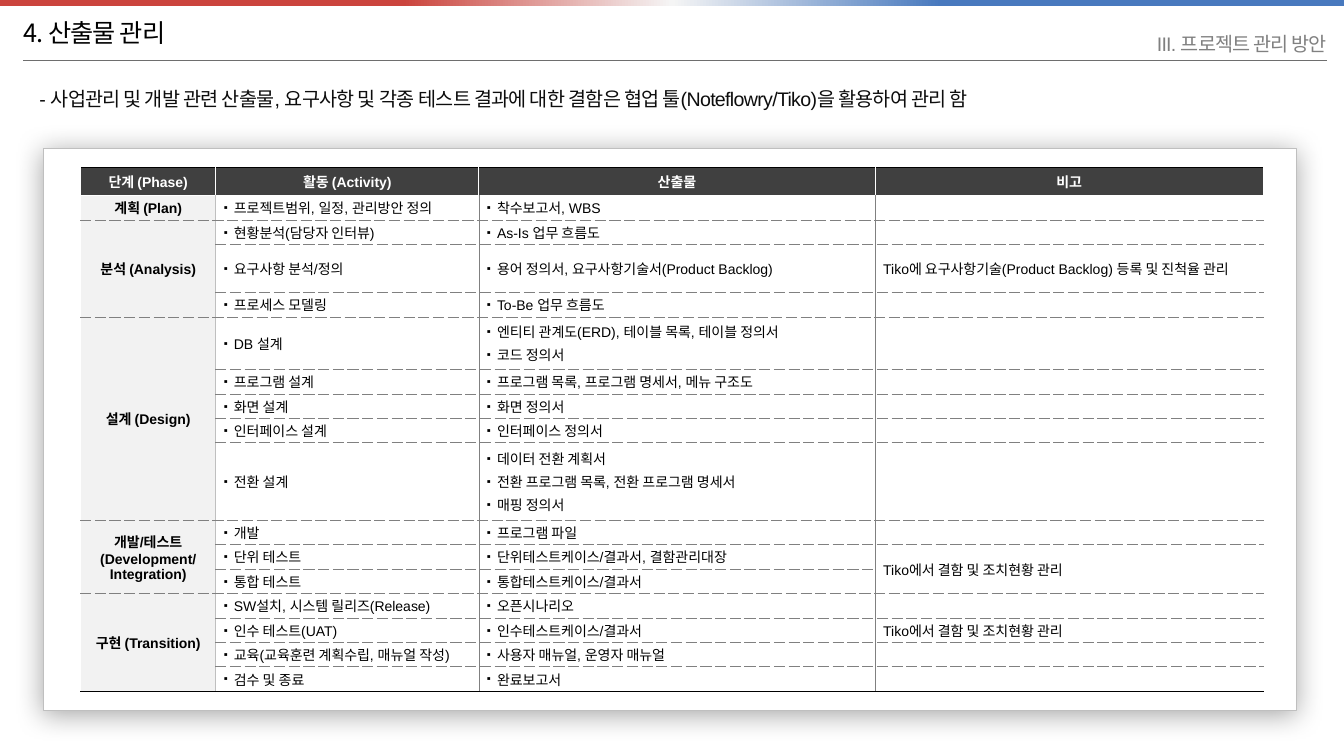
from lxml.etree import SubElement
from pptx import Presentation
from pptx.dml.color import RGBColor
from pptx.enum.shapes import MSO_CONNECTOR, MSO_SHAPE
from pptx.enum.text import MSO_ANCHOR, PP_ALIGN
from pptx.oxml import parse_xml
from pptx.oxml.ns import nsdecls, qn
from pptx.util import Inches, Pt

LATIN, KOREAN = "Arial", "Noto Sans CJK KR"
BLACK = RGBColor(0x00, 0x00, 0x00)
WHITE = RGBColor(0xFF, 0xFF, 0xFF)
INK = RGBColor(0x0D, 0x0D, 0x0D)
HEADER = RGBColor(0x40, 0x40, 0x40)
RULE = RGBColor(0x6E, 0x6E, 0x6E)
GRAY = RGBColor(0x80, 0x80, 0x80)
SILVER = RGBColor(0xBF, 0xBF, 0xBF)
PALE = RGBColor(0xF2, 0xF2, 0xF2)
RED = RGBColor(0xCB, 0x44, 0x3D)
MIST = RGBColor(0xF5, 0xF5, 0xF5)
BLUE = RGBColor(0x48, 0x79, 0xBE)

# Border styles: colour, width in points, dashed
DASHED, THIN = (GRAY, 0.5, True), (GRAY, 0.5, False)
GAP, EDGE, SOFT = (WHITE, 1, False), (BLACK, 0.5, False), (SILVER, 1, False)

HEADINGS = ["단계 (Phase)", "활동 (Activity)", "산출물", "비고"]
COLUMN_WIDTHS = [1.34, 2.61, 3.93, 3.85]
TABLE_HEIGHT = 5.2
SPECIAL_HEIGHTS = {0: 0.28, 3: 0.48, 5: 0.52, 9: 0.77}
DEFECTS = "Tiko에서 결함 및 조치현황 관리"
MERGED = None  # the remark continues from the row above

# Phase, then its rows: activity, deliverables, remark
PHASES = [
    (["계획 (Plan)"], [
        ("프로젝트범위, 일정, 관리방안 정의", ["착수보고서, WBS"], "")]),
    (["분석 (Analysis)"], [
        ("현황분석(담당자 인터뷰)", ["As-Is 업무 흐름도"], ""),
        ("요구사항 분석/정의", ["용어 정의서, 요구사항기술서(Product Backlog)"],
         "Tiko에 요구사항기술(Product Backlog) 등록 및 진척율 관리"),
        ("프로세스 모델링", ["To-Be 업무 흐름도"], "")]),
    (["설계 (Design)"], [
        ("DB 설계", ["엔티티 관계도(ERD), 테이블 목록, 테이블 정의서", "코드 정의서"], ""),
        ("프로그램 설계", ["프로그램 목록, 프로그램 명세서, 메뉴 구조도"], ""),
        ("화면 설계", ["화면 정의서"], ""),
        ("인터페이스 설계", ["인터페이스 정의서"], ""),
        ("전환 설계", ["데이터 전환 계획서", "전환 프로그램 목록, 전환 프로그램 명세서",
                   "매핑 정의서"], "")]),
    (["개발/테스트", "(Development/", "Integration)"], [
        ("개발", ["프로그램 파일"], ""),
        ("단위 테스트", ["단위테스트케이스/결과서, 결함관리대장"], DEFECTS),
        ("통합 테스트", ["통합테스트케이스/결과서"], MERGED)]),
    (["구현 (Transition)"], [
        ("SW설치, 시스템 릴리즈(Release)", ["오픈시나리오"], ""),
        ("인수 테스트(UAT)", ["인수테스트케이스/결과서"], DEFECTS),
        ("교육(교육훈련 계획수립, 매뉴얼 작성)", ["사용자 매뉴얼, 운영자 매뉴얼"], ""),
        ("검수 및 종료", ["완료보고서"], "")]),
]


def set_font(font, size, color, bold=False, latin=LATIN):
    font.size, font.bold, font.name = Pt(size), bold, latin
    font.color.rgb = color
    SubElement(font._element, qn("a:ea"), typeface=KOREAN)


def add_text(page, area, spans, size, color, align=PP_ALIGN.LEFT, latin=LATIN):
    """Spans are pairs of text and letter spacing in points."""
    box = page.shapes.add_textbox(*map(Inches, area))
    frame = box.text_frame
    frame.word_wrap, frame.vertical_anchor = True, MSO_ANCHOR.MIDDLE
    frame.margin_left = frame.margin_right = 0
    frame.margin_top = frame.margin_bottom = 0
    para = frame.paragraphs[0]
    para.alignment = align
    set_font(para.font, size, color, latin=latin)
    for text, spacing in spans:
        span = para.add_run()
        span.text = text
        span.font._element.set("spc", str(round(spacing * 100)))


def add_header_rule(page):
    line = page.shapes.add_connector(MSO_CONNECTOR.STRAIGHT, Inches(0.23),
                                     Inches(0.6), Inches(13.16), Inches(0.6))
    line.line.color.rgb, line.line.width = RULE, Pt(0.5)
    SubElement(line._element.spPr, qn("a:effectLst"))


def add_top_band(page):
    band = page.shapes.add_shape(MSO_SHAPE.RECTANGLE, 0, 0, Inches(13.33), Inches(0.06))
    band.shadow.inherit = False
    band.line.fill.background()
    stops = "".join(f'<a:gs pos="{place * 1000}"><a:srgbClr val="{color}"/></a:gs>'
                    for place, color in [(30, RED), (50, MIST), (70, BLUE)])
    gradient = parse_xml(f'<a:gradFill {nsdecls("a")}><a:gsLst>{stops}</a:gsLst>'
                         '<a:lin ang="0" scaled="0"/></a:gradFill>')
    band._element.spPr.find(qn("a:prstGeom")).addnext(gradient)


def add_panel(page):
    panel = page.shapes.add_shape(MSO_SHAPE.ROUNDED_RECTANGLE, Inches(0.43),
                                  Inches(1.47), Inches(12.43), Inches(5.58))
    panel.adjustments[0] = 0
    panel.fill.solid()
    panel.fill.fore_color.rgb = WHITE
    panel.line.color.rgb, panel.line.width = SILVER, Pt(0.5)
    panel.shadow.inherit = False
    effects = panel._element.spPr.find(qn("a:effectLst"))
    shadow = SubElement(effects, qn("a:outerShdw"), blurRad=str(Pt(20)),
                        dist=str(Pt(3)), dir="5400000", rotWithShape="0")
    color = SubElement(shadow, qn("a:srgbClr"), val=str(BLACK))
    SubElement(color, qn("a:alpha"), val="35000")


def style_cell(cell, fill, left, right, top, bottom):
    properties = cell._tc.get_or_add_tcPr()
    for side, (color, width, dashed) in zip("LRTB", (left, right, top, bottom)):
        line = SubElement(properties, qn(f"a:ln{side}"), w=str(Pt(width)))
        SubElement(SubElement(line, qn("a:solidFill")), qn("a:srgbClr"), val=str(color))
        SubElement(line, qn("a:prstDash"), val="sysDash" if dashed else "solid")
    cell.fill.solid()
    cell.fill.fore_color.rgb = fill


def fill_cell(cell, lines, color=BLACK, bold=False, centered=False,
              bulleted=False, margins=(0.08, 0, 0, 0)):
    cell.vertical_anchor = MSO_ANCHOR.MIDDLE
    (cell.margin_left, cell.margin_top,
     cell.margin_right, cell.margin_bottom) = map(Inches, margins)
    cell.text = "\n".join(lines)
    for index, para in enumerate(cell.text_frame.paragraphs):
        para.alignment = PP_ALIGN.CENTER if centered else PP_ALIGN.LEFT
        if bulleted:
            properties = para._p.get_or_add_pPr()
            properties.set("marL", str(Inches(0.1)))
            properties.set("indent", str(-Inches(0.1)))
            if index:
                para.space_before = Pt(2)
            SubElement(properties, qn("a:buSzPct"), val="80000")
            SubElement(properties, qn("a:buFont"), typeface=LATIN)
            SubElement(properties, qn("a:buChar"), char="▪")
        set_font(para.font, 10, color, bold)
        if not para.runs:  # keeps empty rows low
            SubElement(para._p, qn("a:endParaRPr"), sz="1000")


def add_deliverables(page):
    row_count = 1 + sum(len(rows) for _, rows in PHASES)
    table = page.shapes.add_table(row_count, len(HEADINGS), Inches(0.8), Inches(1.66),
                                  Inches(sum(COLUMN_WIDTHS)), Inches(TABLE_HEIGHT)).table
    table.horz_banding = False
    for column, width in zip(table.columns, COLUMN_WIDTHS):
        column.width = Inches(width)
    plain = ((TABLE_HEIGHT - sum(SPECIAL_HEIGHTS.values()))
             / (row_count - len(SPECIAL_HEIGHTS)))
    for index, row in enumerate(table.rows):
        row.height = Inches(SPECIAL_HEIGHTS.get(index, plain))

    # Header row
    for column, heading in enumerate(HEADINGS):
        cell = table.cell(0, column)
        margins = (0.04,) * 4 if column < 2 else (0.01, 0, 0.01, 0)
        fill_cell(cell, [heading], WHITE, True, True, margins=margins)
        style_cell(cell, HEADER, GAP, GAP, EDGE, GAP)

    # Phases with their rows
    last, index = row_count - 1, 1
    for phase, rows in PHASES:
        first, end = index, index + len(rows) - 1
        for activity, outputs, remark in rows:
            cells = [table.cell(index, column) for column in range(len(HEADINGS))]
            fill_cell(cells[0], phase if index == first else [], bold=True,
                      centered=True, margins=(0.01, 0, 0.01, 0))
            fill_cell(cells[1], [activity], bulleted=True)
            fill_cell(cells[2], outputs, bulleted=True)
            fill_cell(cells[3], [remark or ""])
            top = GAP if index == 1 else DASHED
            bottom = EDGE if index == last else DASHED
            phase_bottom = EDGE if end == last else DASHED
            style_cell(cells[0], PALE, GAP, SOFT, top, phase_bottom)
            style_cell(cells[1], WHITE, SOFT, THIN, top, bottom)
            style_cell(cells[2], WHITE, THIN, THIN, top, bottom)
            style_cell(cells[3], WHITE, THIN, GAP, top, bottom)
            if remark is MERGED:
                table.cell(index - 1, 3).merge(cells[3])
            index += 1
        if end > first:
            table.cell(first, 0).merge(table.cell(end, 0))


def main():
    deck = Presentation()
    deck.slide_width, deck.slide_height = Inches(13.33), Inches(7.5)
    page = deck.slides.add_slide(deck.slide_layouts[6])

    # Page header
    add_header_rule(page)
    add_top_band(page)
    add_text(page, (0.23, 0.11, 7.44, 0.42), [("4. 산출물 관리", -0.6)], 18, BLACK,
             latin=KOREAN)
    add_text(page, (0.39, 0.68, 12.58, 0.6), [
        ("- 사업관리 및 개발 관련 산출물, 요구사항 및 ", -0.5), ("각종", -0.9),
        (" 테스트 결과에 대한 결함은 협업 툴(Noteflowry/Tiko)을 활용하여 관리 함", -0.5),
    ], 14, INK)
    add_text(page, (7.67, 0.33, 5.49, 0.2), [("III. 프로젝트 관리 방안", -0.6)], 14, GRAY,
             PP_ALIGN.RIGHT)

    # Table on its panel
    add_panel(page)
    add_deliverables(page)
    deck.save("out.pptx")


if __name__ == "__main__":
    main()
